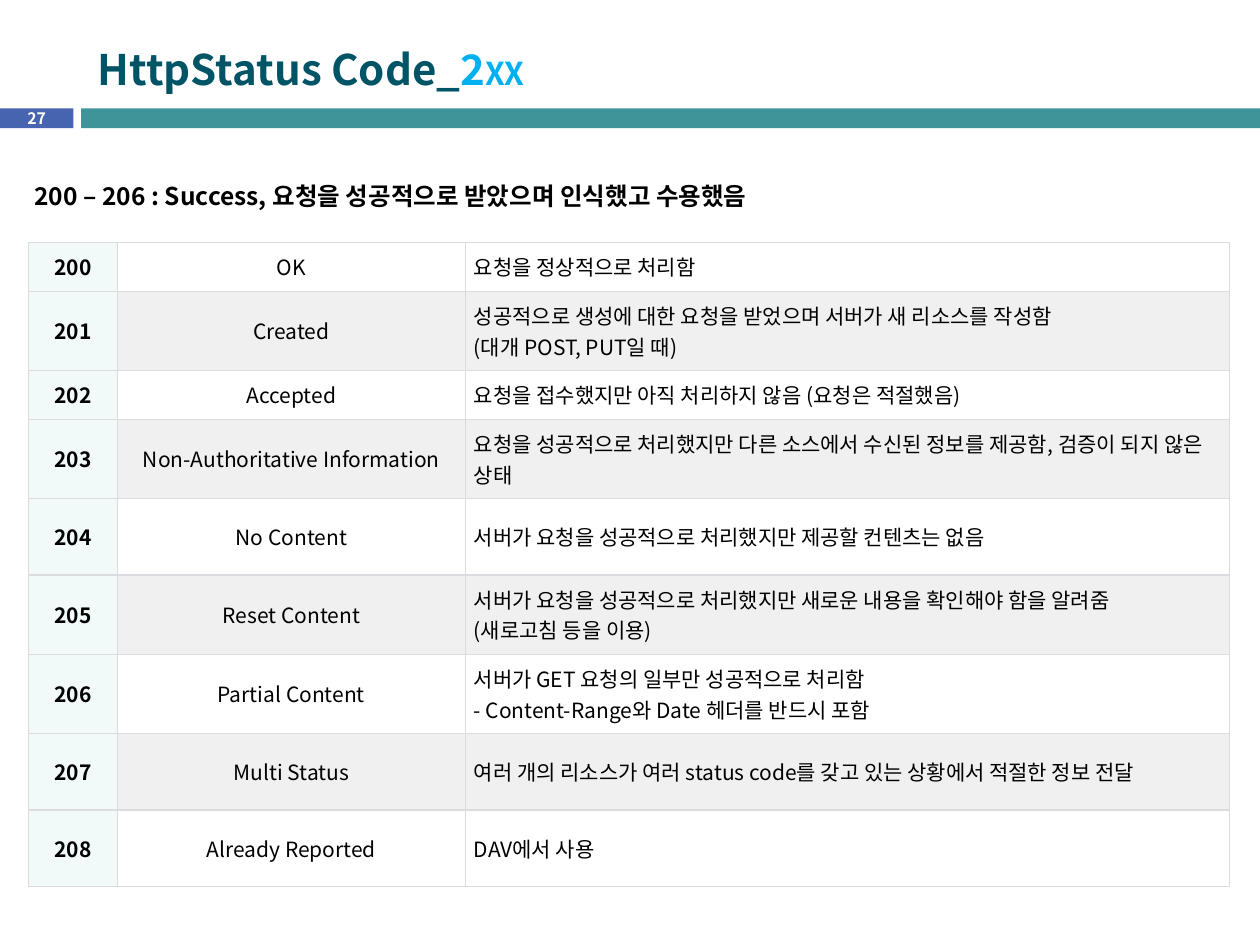
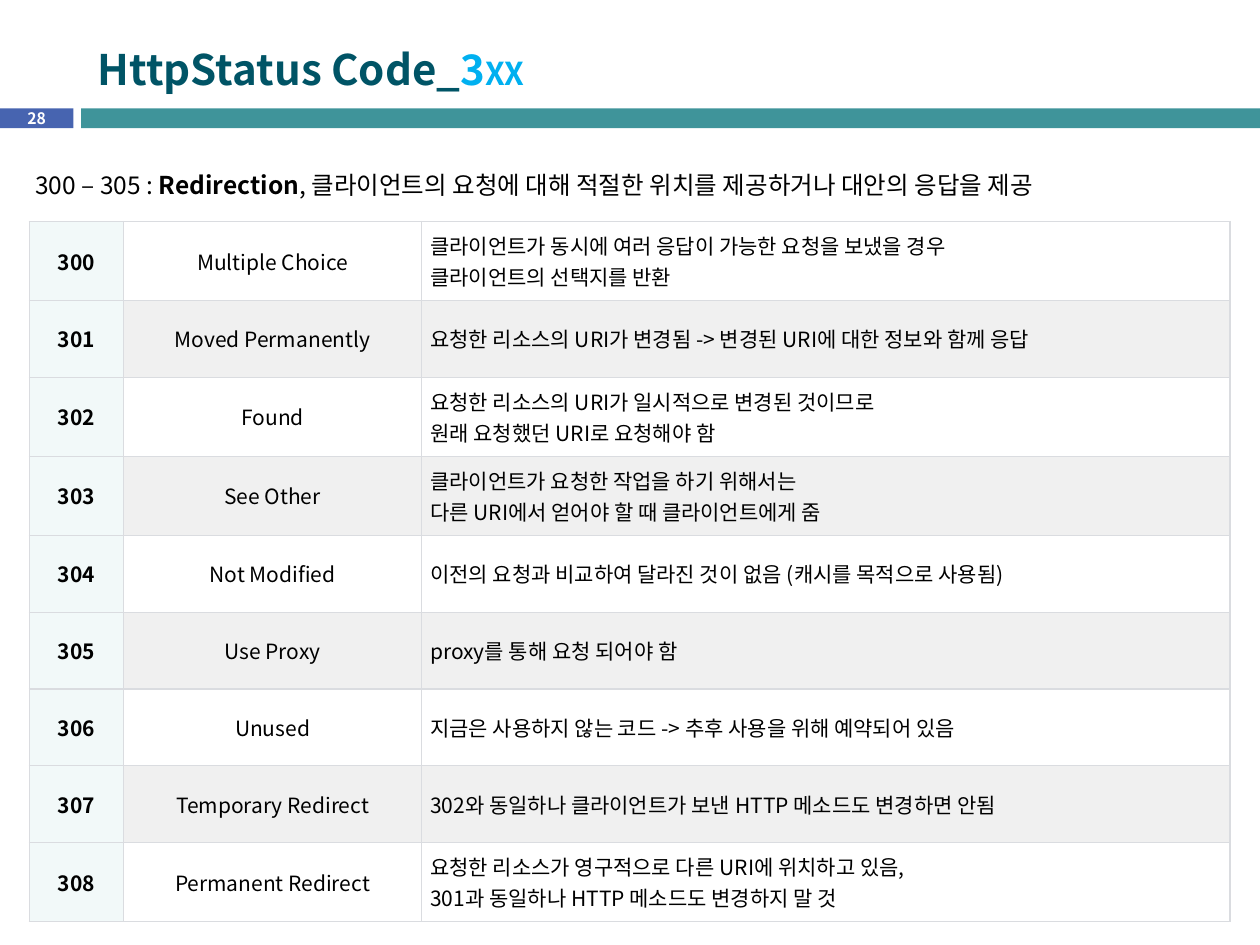
from copy import deepcopy

from lxml import etree
from pptx import Presentation
from pptx.dml.color import RGBColor
from pptx.enum.shapes import MSO_SHAPE
from pptx.enum.text import MSO_ANCHOR, MSO_AUTO_SIZE, PP_ALIGN
from pptx.oxml.ns import qn
from pptx.util import Pt

RECTANGLE = MSO_SHAPE.RECTANGLE
MIDDLE, TOP = MSO_ANCHOR.MIDDLE, MSO_ANCHOR.TOP
LEFT, CENTER = PP_ALIGN.LEFT, PP_ALIGN.CENTER
NO_AUTOFIT = MSO_AUTO_SIZE.NONE

SLIDES = [
    {
        "number": "27",
        "family": "2",
        "summary": [("200 – 206 : Success, 요청을 성공적으로 받았으며 인식했고 수용했음", True)],
        "summary_box": (12.6, 100, 636, 24.5),
        "table_at": (16.4, 138.4),
        "column_widths": (50.8, 198.6, 436.6),
        "codes": [
            ("200", "OK", "요청을 정상적으로 처리함"),
            ("201", "Created",
             "성공적으로 생성에 대한 요청을 받었으며 서버가 새 리소스를 작성함\n(대개 POST, PUT일 때)"),
            ("202", "Accepted", "요청을 접수했지만 아직 처리하지 않음 (요청은 적절했음)"),
            ("203", "Non-Authoritative Information",
             "요청을 성공적으로 처리했지만 다른 소스에서 수신된 정보를 제공함, 검증이 되지 않은 상태"),
            ("204", "No Content", "서버가 요청을 성공적으로 처리했지만 제공할 컨텐츠는 없음"),
            ("205", "Reset Content",
             "서버가 요청을 성공적으로 처리했지만 새로운 내용을 확인해야 함을 알려줌\n(새로고침 등을 이용)"),
            ("206", "Partial Content",
             "서버가 GET 요청의 일부만 성공적으로 처리함\n- Content-Range와 Date 헤더를 반드시 포함"),
            ("207", "Multi Status",
             "여러 개의 리소스가 여러 status code를 갖고 있는 상황에서 적절한 정보 전달"),
            ("208", "Already Reported", "DAV에서 사용"),
        ],
        "row_kinds": "short tall short tall medium tall tall medium medium",
    },
    {
        "number": "28",
        "family": "3",
        "summary": [
            ("300 – 305 : ", False),
            ("Redirection", True),
            (", 클라이언트의 요청에 대해 적절한 위치를 제공하거나 대안의 응답을 제공", False),
        ],
        "summary_box": (13, 93.6, 657.4, 24.5),
        "table_at": (16.7, 126.5),
        "column_widths": (54, 170.2, 462),
        "codes": [
            ("300", "Multiple Choice",
             "클라이언트가 동시에 여러 응답이 가능한 요청을 보냈을 경우\n클라이언트의 선택지를 반환"),
            ("301", "Moved Permanently",
             "요청한 리소스의 URI가 변경됨 -> 변경된 URI에 대한 정보와 함께 응답"),
            ("302", "Found",
             "요청한 리소스의 URI가 일시적으로 변경된 것이므로\n원래 요청했던 URI로 요청해야 함"),
            ("303", "See Other",
             "클라이언트가 요청한 작업을 하기 위해서는\n다른 URI에서 얻어야 할 때 클라이언트에게 줌"),
            ("304", "Not Modified", "이전의 요청과 비교하여 달라진 것이 없음 (캐시를 목적으로 사용됨)"),
            ("305", "Use Proxy", "proxy를 통해 요청 되어야 함"),
            ("306", "Unused", "지금은 사용하지 않는 코드 -> 추후 사용을 위해 예약되어 있음"),
            ("307", "Temporary Redirect",
             "302와 동일하나 클라이언트가 보낸 HTTP 메소드도 변경하면 안됨"),
            ("308", "Permanent Redirect",
             "요청한 리소스가 영구적으로 다른 URI에 위치하고 있음, \n301과 동일하나 HTTP 메소드도 변경하지 말 것"),
        ],
        "row_kinds": "tall medium tall tall medium medium medium medium tall",
    },
]

THEME = {
    "font": "Noto Sans CJK KR",
    "number_font": "Noto Sans CJK JP",
    "title": "005466",
    "family": "00B0F0",
    "text": "000000",
    "number": "FFFFFF",
    "number_band": "4764B0",
    "title_band": "3F949A",
    "code_fill": "D5ECEE",
    "stripe": "F0F0F0",
    "border": "DADCE0",
    "title_size": 24,
    "suffix_size": 18,
    "summary_size": 14,
    "cell_size": 12,
    "number_size": 9,
}

SLIDE_SIZE = (720, 540)
TITLE_BOX = (48.6, 18, 642.2, 42.5)
NUMBER_BOX = (0, 62.8, 42, 10)
BANDS = [((0, 62, 42, 11.2), "number_band"), ((46.4, 62, 673.6, 11.2), "title_band")]
ROW_HEIGHTS = {"short": 28, "medium": 43.9, "tall": 45.2}
CELL_MARGIN = 5
BORDER_WIDTH = 0.75
CODE_OPACITY = 30


def color(name):
    return RGBColor.from_string(THEME[name])


def set_all(target, values):
    for name, value in values.items():
        setattr(target, name, value)


def place(shape, box):
    set_all(shape, dict(zip(("left", "top", "width", "height"), map(Pt, box))))


def set_margins(target, margin):
    sides = ("margin_left", "margin_top", "margin_right", "margin_bottom")
    set_all(target, dict.fromkeys(sides, Pt(margin)))


def style_run(run, size, bold, color_name="text", font="font"):
    set_all(run.font, {"name": THEME[font], "size": Pt(THEME[size]), "bold": bold})
    run.font.color.rgb = color(color_name)


def add_run(paragraph, text, *style):
    run = paragraph.add_run()
    run.text = text
    style_run(run, *style)


def add_text_box(slide, box, anchor):
    frame = slide.shapes.add_textbox(*map(Pt, box)).text_frame
    set_all(frame, {"word_wrap": True, "vertical_anchor": anchor})
    return frame


def add_header(slide, content):
    for box, fill in BANDS:
        band = slide.shapes.add_shape(RECTANGLE, *map(Pt, box))
        band.shadow.inherit = False
        band.fill.solid()
        band.fill.fore_color.rgb = color(fill)
        band.line.fill.background()

    number = add_text_box(slide, NUMBER_BOX, MIDDLE)
    set_margins(number, 0)
    number.paragraphs[0].alignment = CENTER
    add_run(number.paragraphs[0], content["number"],
            "number_size", True, "number", "number_font")

    title = slide.shapes.title
    place(title, TITLE_BOX)
    set_all(title.text_frame, {"vertical_anchor": MIDDLE, "auto_size": NO_AUTOFIT})
    paragraph = title.text_frame.paragraphs[0]
    paragraph.alignment = LEFT
    add_run(paragraph, "HttpStatus Code_", "title_size", True, "title")
    add_run(paragraph, content["family"], "title_size", True, "family")
    add_run(paragraph, "XX", "suffix_size", True, "family")


def add_summary(slide, content):
    paragraph = add_text_box(slide, content["summary_box"], TOP).paragraphs[0]
    for text, bold in content["summary"]:
        add_run(paragraph, text, "summary_size", bold)


def add_borders(cell):
    properties = cell._tc.get_or_add_tcPr()
    for position, side in enumerate(("lnL", "lnR", "lnT", "lnB")):
        line = etree.Element(qn(f"a:{side}"), w=str(Pt(BORDER_WIDTH)))
        fill = etree.SubElement(line, qn("a:solidFill"))
        etree.SubElement(fill, qn("a:srgbClr"), val=THEME["border"])
        properties.insert(position, line)


def fill_cell(cell, row, column):
    if column > 0 and row % 2 == 0:
        cell.fill.background()
        return
    cell.fill.solid()
    cell.fill.fore_color.rgb = color("stripe" if column else "code_fill")
    if column == 0:
        tint = cell._tc.tcPr.find(f".//{qn('a:srgbClr')}")
        etree.SubElement(tint, qn("a:alpha"), val=str(CODE_OPACITY * 1000))


def write_cell(cell, text, column):
    set_margins(cell, CELL_MARGIN)
    cell.vertical_anchor = MIDDLE
    paragraph = cell.text_frame.paragraphs[0]
    paragraph.text = text.replace("\n", "\v")
    paragraph.alignment = LEFT if column == 2 else CENTER
    for run in paragraph.runs:
        style_run(run, "cell_size", column == 0)
    for line_break in paragraph._p.findall(qn("a:br")):
        line_break.append(deepcopy(paragraph.runs[0].font._element))


def add_code_table(slide, content):
    codes, widths = content["codes"], content["column_widths"]
    heights = [ROW_HEIGHTS[kind] for kind in content["row_kinds"].split()]
    box = (*content["table_at"], sum(widths), sum(heights))
    table = slide.shapes.add_table(len(codes), len(widths), *map(Pt, box)).table
    set_all(table, {"first_row": False, "horz_banding": False})
    for column, width in zip(table.columns, widths):
        column.width = Pt(width)
    for row, height in zip(table.rows, heights):
        row.height = Pt(height)
    for row, texts in enumerate(codes):
        for column, text in enumerate(texts):
            cell = table.cell(row, column)
            write_cell(cell, text, column)
            fill_cell(cell, row, column)
            add_borders(cell)


def main():
    presentation = Presentation()
    presentation.slide_width, presentation.slide_height = map(Pt, SLIDE_SIZE)
    title_only = presentation.slide_layouts[5]
    for content in SLIDES:
        slide = presentation.slides.add_slide(title_only)
        add_header(slide, content)
        add_code_table(slide, content)
        add_summary(slide, content)
    presentation.save("out.pptx")


if __name__ == "__main__":
    main()
